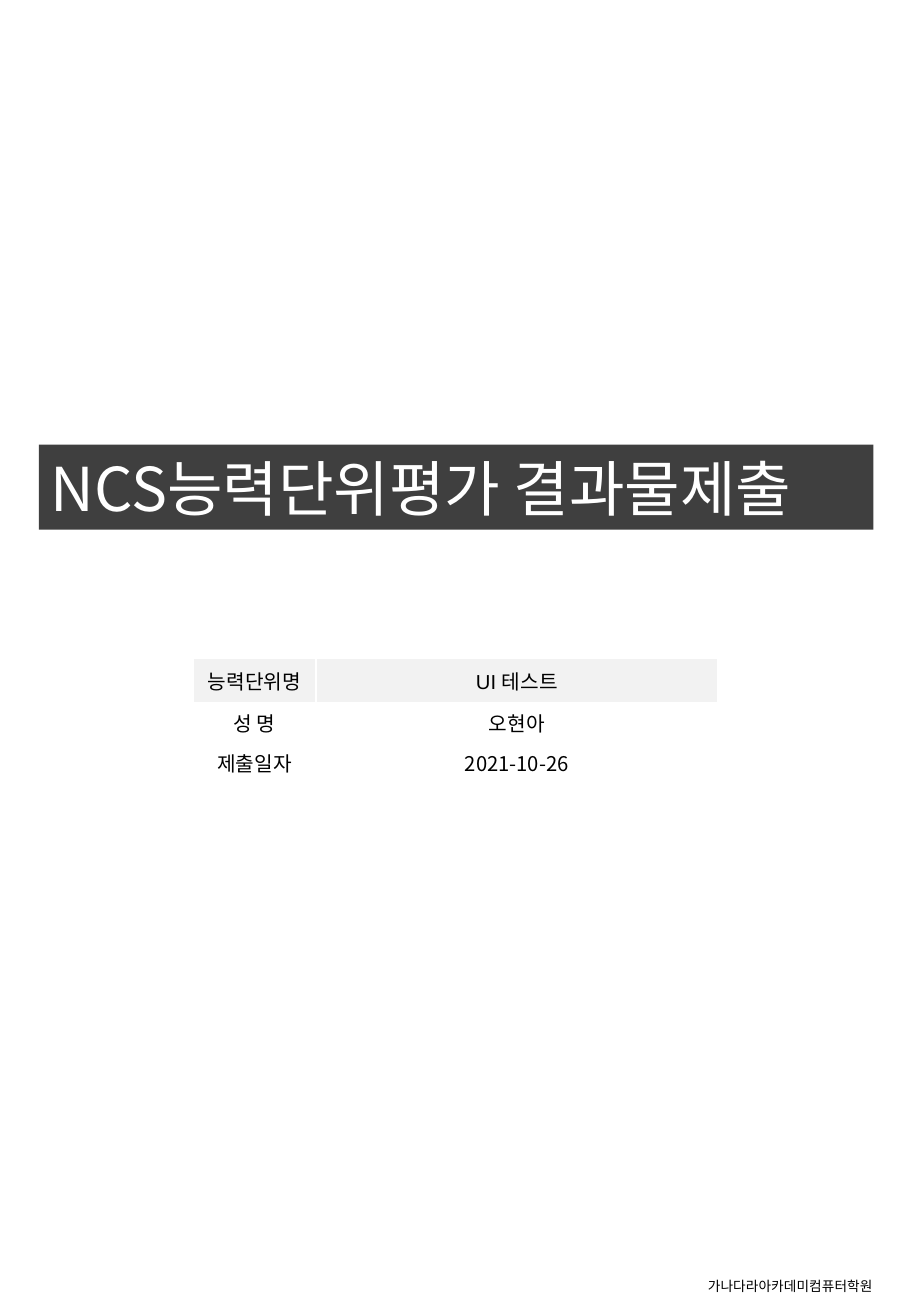
from dataclasses import dataclass

from lxml.etree import SubElement
from pptx import Presentation
from pptx.dml.color import RGBColor
from pptx.enum.shapes import MSO_SHAPE as Shape
from pptx.enum.text import MSO_ANCHOR as Anchor, PP_ALIGN as Align
from pptx.oxml.ns import qn
from pptx.util import Inches, Pt

COLORS = {"ink": "000000", "paper": "FFFFFF", "banner": "3F3F3F", "band": "F2F2F2"}
KOREAN, LATIN = "Noto Sans CJK KR", "Arial"


@dataclass
class Entry:
    label: str
    value: str
    height: float
    font: str = KOREAN
    banded: bool = False


ENTRIES = [
    Entry("능력단위명", "UI 테스트", 0.36, LATIN, True),
    Entry("성 명", "오현아", 0.33),
    Entry("제출일자", "2021-10-26", 0.33),
]
COLUMN_WIDTHS = [1.01, 3.31]


def color(name: str) -> RGBColor:
    return RGBColor.from_string(COLORS[name])


def write(frame, text: str, size: float, ink: str = "ink",
          align: Align = Align.LEFT, latin: str = KOREAN) -> None:
    """Fill a text frame with one paragraph, in Latin and Korean fonts."""
    paragraph = frame.paragraphs[0]
    paragraph.text = text
    paragraph.alignment = align
    font = paragraph.font
    font.size, font.name = Pt(size), latin
    font.color.rgb = color(ink)
    defaults = paragraph._p.pPr.find(qn("a:defRPr"))
    SubElement(defaults, qn("a:ea")).set("typeface", KOREAN)


def add_entries(slide, left: float, top: float) -> None:
    """Draw the submission details as a table without a style."""
    width, height = sum(COLUMN_WIDTHS), sum(entry.height for entry in ENTRIES)
    details = slide.shapes.add_table(
        len(ENTRIES), len(COLUMN_WIDTHS),
        Inches(left), Inches(top), Inches(width), Inches(height)).table
    details.first_row = details.horz_banding = False
    for column, column_width in zip(details.columns, COLUMN_WIDTHS):
        column.width = Inches(column_width)
    for row, entry in zip(details.rows, ENTRIES):
        row.height = Inches(entry.height)
        for cell, text in zip(row.cells, (entry.label, entry.value)):
            cell.fill.solid()
            cell.fill.fore_color.rgb = color("band" if entry.banded else "paper")
            cell.vertical_anchor = Anchor.MIDDLE
            cell.margin_left = cell.margin_right = Inches(0.08)
            cell.margin_top = cell.margin_bottom = Inches(0.04)
            write(cell.text_frame, text, 12, align=Align.CENTER, latin=entry.font)


deck = Presentation()
deck.slide_width, deck.slide_height = Inches(7.5), Inches(10.83)
cover = deck.slides.add_slide(deck.slide_layouts[6])

# Academy name at the foot
academy = cover.shapes.add_textbox(
    Inches(5.73), Inches(10.47), Inches(1.68), Inches(0.24))
academy.text_frame.word_wrap = True
write(academy.text_frame, "가나다라아카데미컴퓨터학원", 8.1)

# Title banner
banner = cover.shapes.add_shape(
    Shape.RECTANGLE, Inches(0.32), Inches(3.66), Inches(6.87), Inches(0.7))
banner.shadow.inherit = False
banner.fill.solid()
banner.fill.fore_color.rgb = color("banner")
banner.line.fill.background()
banner.text_frame.vertical_anchor = Anchor.MIDDLE
write(banner.text_frame, "NCS능력단위평가 결과물제출", 35.8, "paper")

# Submission details
add_entries(cover, 1.59, 5.42)

deck.save("out.pptx")
